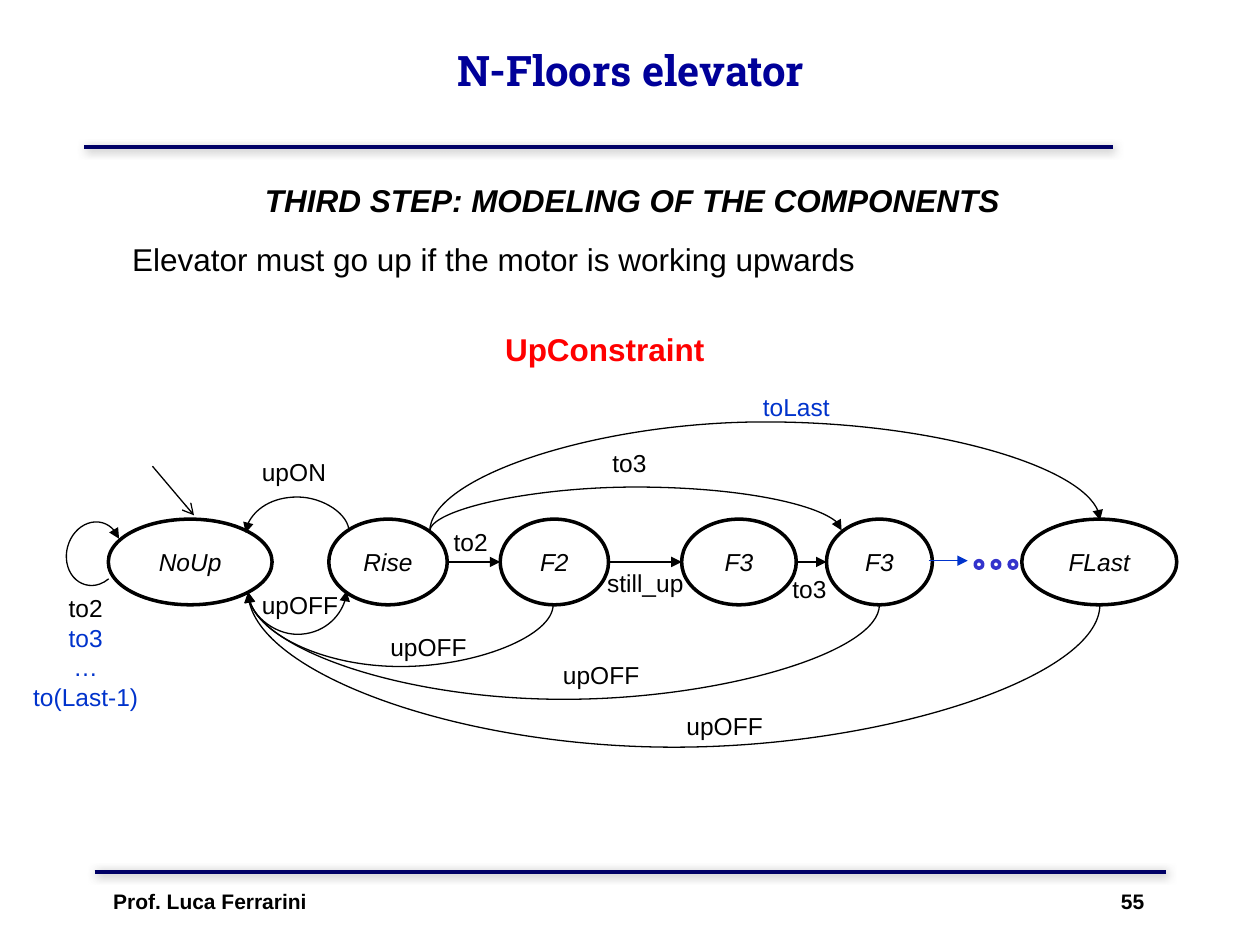
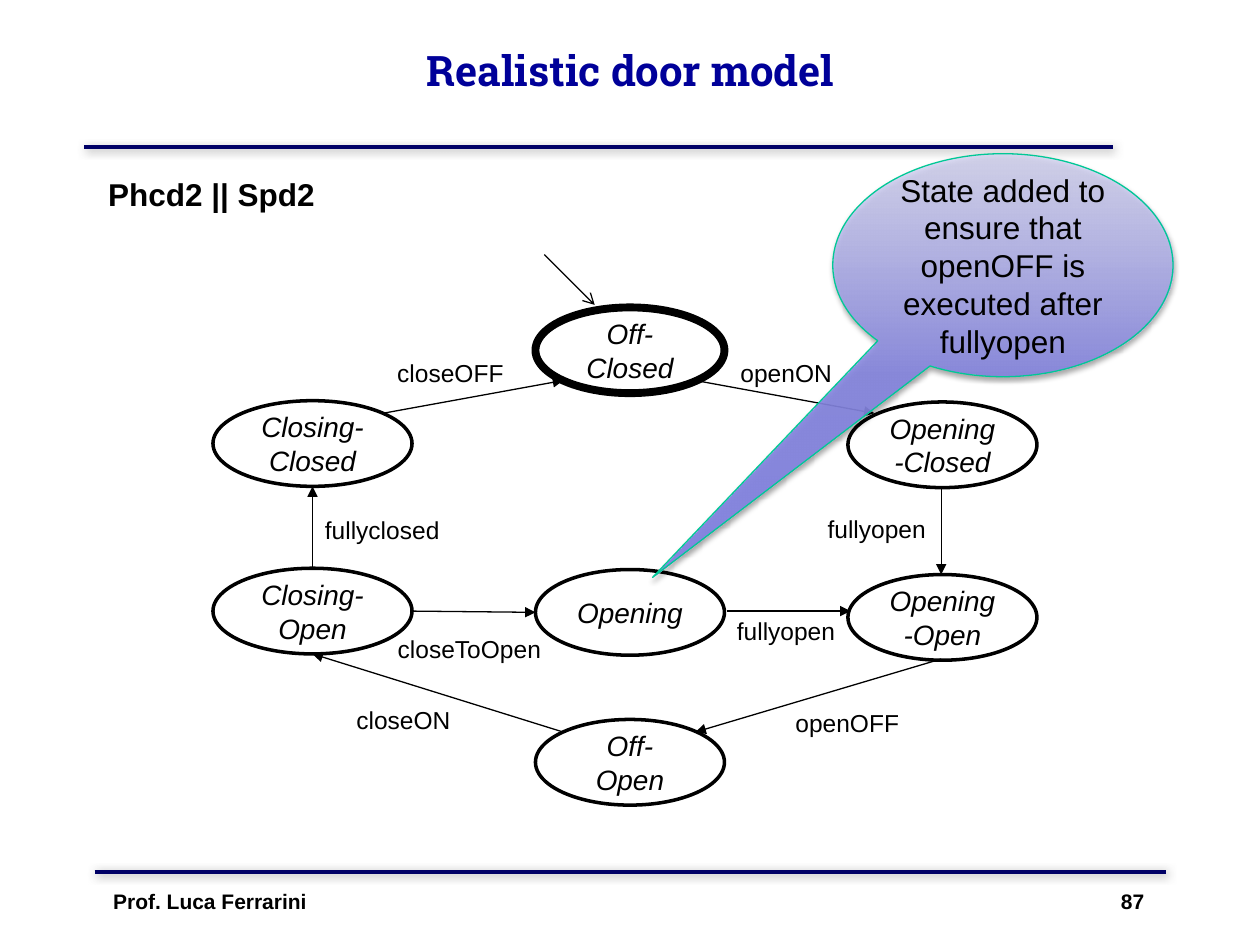
from lxml import etree
from pptx import Presentation
from pptx.dml.color import RGBColor
from pptx.enum.shapes import MSO_CONNECTOR, MSO_SHAPE
from pptx.enum.text import MSO_ANCHOR, PP_ALIGN
from pptx.oxml.ns import qn
from pptx.util import Inches, Pt

STRAIGHT, CURVE = MSO_CONNECTOR.STRAIGHT, MSO_CONNECTOR.CURVE
OVAL, ARC = MSO_SHAPE.OVAL, MSO_SHAPE.ARC
BUBBLE = MSO_SHAPE.OVAL_CALLOUT
LEFT, MID, RIGHT = PP_ALIGN.LEFT, PP_ALIGN.CENTER, PP_ALIGN.RIGHT
TOP, CENTER = MSO_ANCHOR.TOP, MSO_ANCHOR.MIDDLE

# The slide is a grid of 10 columns by 7.5 rows of square cells
COLS, ROWS = 10, 7.5
CELL = Inches(1)
STATE_H = 0.68
LABEL_H = 0.34

HUES = {
    "black": "000000", "white": "FFFFFF", "red": "FF0000", "blue": "0033CC",
    "dot": "3333CC", "title": "000099", "rule": "000066", "grey": "808080",
    "mint": "00C896", "deep": "8585E0", "pale": "D6D6F5",
}


def span(*cells):
    return [round(n * CELL) for n in cells]


def hue(name):
    return RGBColor.from_string(HUES[name])


def node(parent, tag, **attrs):
    return etree.SubElement(parent, qn(tag), {k: str(v) for k, v in attrs.items()})


def shade(shape, color, alpha, blur, dist, angle):
    """Give a shape an outer shadow; sizes in points, angle in degrees."""
    props = shape._element.spPr
    for old in props.findall(qn("a:effectLst")):
        props.remove(old)
    outer = node(node(props, "a:effectLst"), "a:outerShdw", blurRad=Pt(blur),
                 dist=Pt(dist), dir=angle * 60000, algn="ctr", rotWithShape=0)
    node(node(outer, "a:srgbClr", val=HUES[color]), "a:alpha", val=alpha * 1000)


def stroke(shape, color, width):
    shape.line.color.rgb = hue(color)
    shape.line.width = Pt(width)


def tip(shape, kind, end="a:tailEnd"):
    node(shape.line._get_or_add_ln(), end, type=kind)


# Text
def write(shape, text, size=14, color="black", font="Arial", bold=False,
          italic=False, align=MID, anchor=TOP):
    """Fill a shape with lines; color is one name or one name per line."""
    frame = shape.text_frame
    frame.word_wrap = True
    frame.vertical_anchor = anchor
    lines = text.split("\n")
    tones = [color] * len(lines) if isinstance(color, str) else color
    for i, (line, tone) in enumerate(zip(lines, tones)):
        para = frame.add_paragraph() if i else frame.paragraphs[0]
        para.alignment = align
        run = para.add_run()
        run.text = line
        run.font.name, run.font.size = font, Pt(size)
        run.font.bold, run.font.italic = bold, italic
        run.font.color.rgb = hue(tone)


def label(slide, text, x, y, w, h=LABEL_H, **style):
    write(slide.shapes.add_textbox(*span(x, y, w, h)), text, **style)


# Shapes
def oval(slide, x, y, w, h, color="black", width=2):
    shape = slide.shapes.add_shape(OVAL, *span(x, y, w, h))
    shape.shadow.inherit = False
    shape.fill.solid()
    shape.fill.fore_color.rgb = hue("white")
    stroke(shape, color, width)
    return shape


def state(slide, name, x, y, w, size=14, width=2):
    shape = oval(slide, x, y, w, STATE_H, width=width)
    write(shape, name, size, italic=True, anchor=CENTER)


def link(slide, x1, y1, x2, y2, color="black", width=0.75, head="triangle"):
    line = slide.shapes.add_connector(STRAIGHT, *span(x1, y1, x2, y2))
    stroke(line, color, width)
    node(line._element.spPr, "a:effectLst")
    if head:
        tip(line, head)
    return line


def bow(slide, x1, y1, x2, y2, peak):
    """Curved arrow that leaves and arrives vertically, turning at row peak."""
    wide, high = abs(x2 - x1), abs(y2 - y1)
    left, top = (x1 + x2 - high) / 2, (y1 + y2 - wide) / 2
    line = slide.shapes.add_connector(
        CURVE, *span(left, top, left + high, top + wide))
    props = line._element.spPr
    frame = props.find(qn("a:xfrm"))
    frame.set("rot", str(90 * 60000))
    frame.set("flipH", str(int(y1 > y2)))
    frame.set("flipV", str(int(x1 < x2)))
    bend = round((peak - y1) / (y2 - y1) * 100000)
    guides = props.find(qn("a:prstGeom")).find(qn("a:avLst"))
    node(guides, "a:gd", name="adj1", fmla=f"val {bend}")
    stroke(line, "black", 0.75)
    node(props, "a:effectLst")
    tip(line, "triangle")


def loop(slide, x, y, w, h):
    """Arrow from a state back to itself."""
    arc = slide.shapes.add_shape(ARC, *span(x, y, w, h))
    arc.shadow.inherit = False
    arc.rotation = 285.3
    arc.adjustments[0], arc.adjustments[1] = 81.6, 27.6
    arc._element.spPr.find(qn("a:xfrm")).set("flipH", "1")
    arc.fill.background()
    stroke(arc, "black", 0.75)
    tip(arc, "triangle", "a:headEnd")


def bubble(slide, text, x, y, w, h, tail):
    shape = slide.shapes.add_shape(BUBBLE, *span(x, y, w, h))
    shape.adjustments[0], shape.adjustments[1] = tail
    shape.fill.gradient()
    shape.fill.gradient_angle = 90
    for stop, name in zip(shape.fill.gradient_stops, ("deep", "pale")):
        stop.color.rgb = hue(name)
    light = list(shape._element.spPr.iter(qn("a:srgbClr")))[-1]
    node(light, "a:alpha", val=78000)
    stroke(shape, "mint", 0.75)
    shade(shape, "black", 35, 3.1, 1.8, 90)
    write(shape, text, 18, anchor=CENTER)


# Shared frame: title, rules and footer
def start(deck, title, page):
    slide = deck.slides.add_slide(deck.slide_layouts[6])
    for x1, x2, y in ((0.67, 8.83, 1.17), (0.75, 9.25, 6.92)):
        rule = link(slide, x1, y, x2, y, "rule", 2.25, head=None)
        shade(rule, "grey", 75, 5, 1.4, 45)
    label(slide, title, 0.92, -0.07, 8.17, 1.25, size=24, color="title",
          font="Roboto Slab", bold=True, anchor=CENTER)
    label(slide, "Prof. Luca Ferrarini", 0.8, 7, 4, size=12, bold=True, align=LEFT)
    label(slide, str(page), 8.18, 7, 1, size=12, bold=True, align=RIGHT)
    return slide


def floors(deck):
    slide = start(deck, "N-Floors elevator", 55)
    label(slide, "THIRD STEP: MODELING OF THE COMPONENTS", 0.7, 1.39, 8.64, 0.4,
          size=18, bold=True, italic=True)
    label(slide, "Elevator must go up if the motor is working upwards",
          0.95, 1.86, 8.64, 0.4, size=18, align=LEFT)
    label(slide, "UpConstraint", 3.91, 2.57, 1.88, 0.4, size=18, color="red",
          bold=True, align=LEFT)

    # States in one row: name, left, width
    row = 4.12
    axis = row + STATE_H / 2
    chain = [("NoUp", 0.86, 1.3), ("Rise", 2.61, 0.94), ("F2", 3.97, 0.86),
             ("F3", 5.41, 0.91), ("F3", 6.56, 0.84), ("FLast", 8.11, 1.23)]
    for name, x, w in chain:
        state(slide, name, x, row, w)
    for (_, x, w), (_, after, _) in zip(chain[1:4], chain[2:5]):
        link(slide, x + w, axis, after, axis)
    link(slide, 7.37, axis - 0.01, 7.68, axis - 0.01, "blue")
    for i in range(3):
        oval(slide, 7.74 + i * 0.135, 4.45, 0.06, 0.06, "dot")
    link(slide, 1.21, 3.7, 1.54, 4.09, head="arrow")
    loop(slide, 0.49, 4.18, 0.51, 0.43)

    # Bows above the row, then those that run below it
    bow(slide, 2.77, 4.22, 1.95, 4.23, 3.94)
    bow(slide, 3.41, 4.22, 6.68, 4.21, 3.86)
    bow(slide, 3.41, 4.22, 8.73, 4.13, 3.35)
    bow(slide, 1.97, 4.7, 2.75, 4.69, 5.04)
    for x, peak in ((4.39, 5.29), (6.98, 5.55), (8.73, 5.93)):
        bow(slide, x, row + STATE_H, 1.97, 4.7, peak)

    # Events
    for x, y in ((1.98, 4.63), (3, 4.97), (4.37, 5.19), (5.35, 5.59)):
        label(slide, "upOFF", x, y, 0.84, align=LEFT)
    label(slide, "upON", 1.98, 3.58, 0.82, align=LEFT)
    label(slide, "still_up", 4.72, 4.46, 0.84, align=LEFT)
    for text, x, y in (("to2", 3.44, 4.13), ("to3", 6.13, 4.51), ("to3", 4.7, 3.51)):
        label(slide, text, x, y, 0.59)
    label(slide, "toLast", 5.91, 3.06, 0.82, color="blue")
    label(slide, "to2\nto3\n…\nto(Last-1)", 0.14, 4.66, 1.08, 1.04,
          color=["black"] + ["blue"] * 3)


def door(deck):
    slide = start(deck, "Realistic door model", 87)
    label(slide, "Phcd2 || Spd2", 0.76, 1.34, 8.48, 0.4, size=18, bold=True,
          align=LEFT)

    # States: name, left, top, width, outline
    west, mid, east = 1.69, 4.25, 6.73
    for name, x, y, w, edge in (
            ("Off-Closed", mid, 2.44, 1.5, 4.5),
            ("Closing-Closed", west, 3.18, 1.58, 2),
            ("Opening-Closed", east, 3.19, 1.5, 2),
            ("Closing-Open", west, 4.51, 1.58, 2),
            ("Opening", mid, 4.52, 1.5, 2),
            ("Opening-Open", east, 4.56, 1.5, 2),
            ("Off-Open", mid, 5.71, 1.5, 2)):
        state(slide, name, x, y, w, 16, edge)

    # Moves between states
    link(slide, 4.32, 2.02, 4.72, 2.42, head="arrow")
    for ends in ((3.04, 3.28, 4.47, 3.02), (5.52, 3.02, 6.94, 3.28),
                 (2.48, 4.51, 2.48, 3.86), (7.47, 3.86, 7.47, 4.56),
                 (3.27, 4.85, 4.25, 4.86), (5.77, 4.85, 6.75, 4.85),
                 (4.47, 5.81, 2.48, 5.19), (7.47, 5.23, 5.52, 5.81)):
        link(slide, *ends)

    # Events
    for text, x, y, w, align in (
            ("closeOFF", 2.96, 2.79, 1.23, MID),
            ("openON", 5.7, 2.79, 1.08, MID),
            ("fullyclosed", 2.48, 4.04, 1.15, LEFT),
            ("fullyopen", 6.47, 4.03, 1, LEFT),
            ("closeToOpen", 2.97, 4.98, 1.51, MID),
            ("fullyopen", 5.75, 4.84, 1, LEFT),
            ("closeON", 2.73, 5.55, 1.2, LEFT),
            ("openOFF", 6.11, 5.57, 1.23, MID)):
        label(slide, text, x, y, w, align=align)
    bubble(slide, "State added to ensure that openOFF is executed after fullyopen",
           6.61, 1.22, 2.7, 1.77, tail=(-1.03, 1.4))


def main():
    deck = Presentation()
    deck.slide_width, deck.slide_height = span(COLS, ROWS)
    floors(deck)
    door(deck)
    deck.save("out.pptx")


if __name__ == "__main__":
    main()
